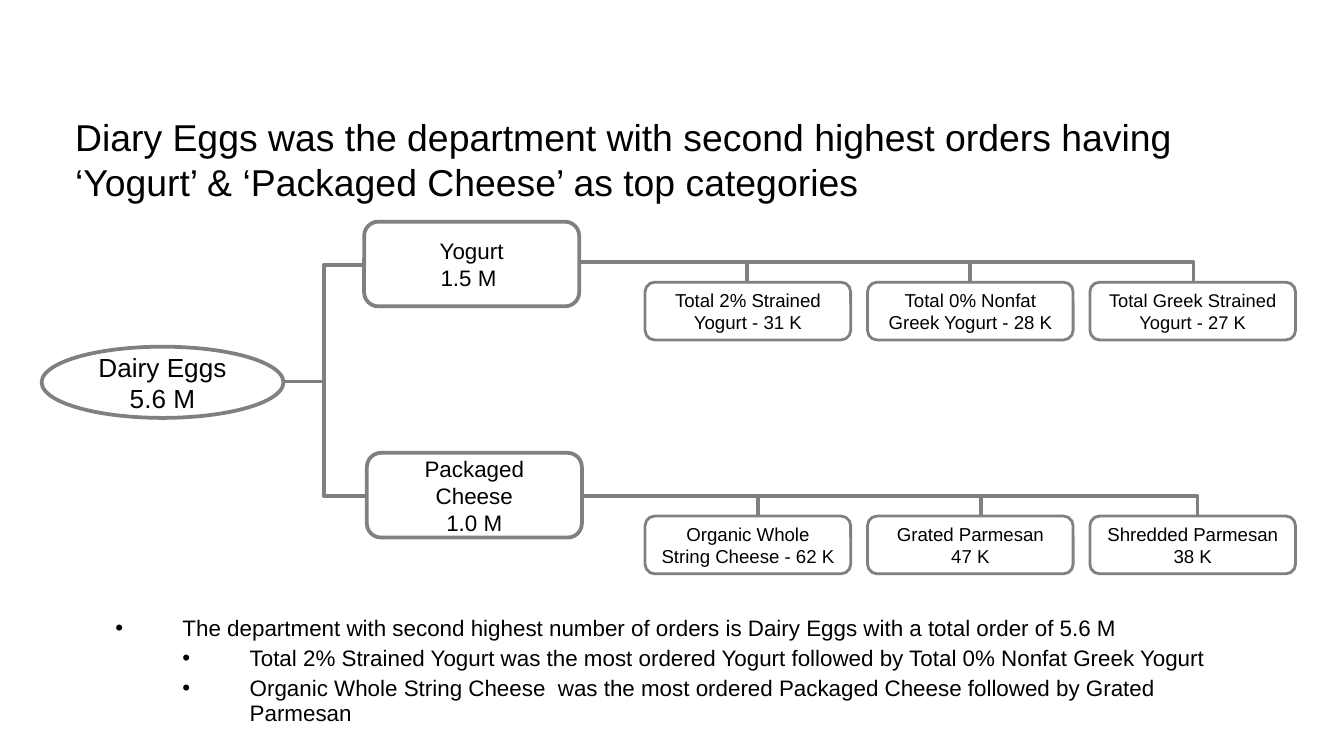
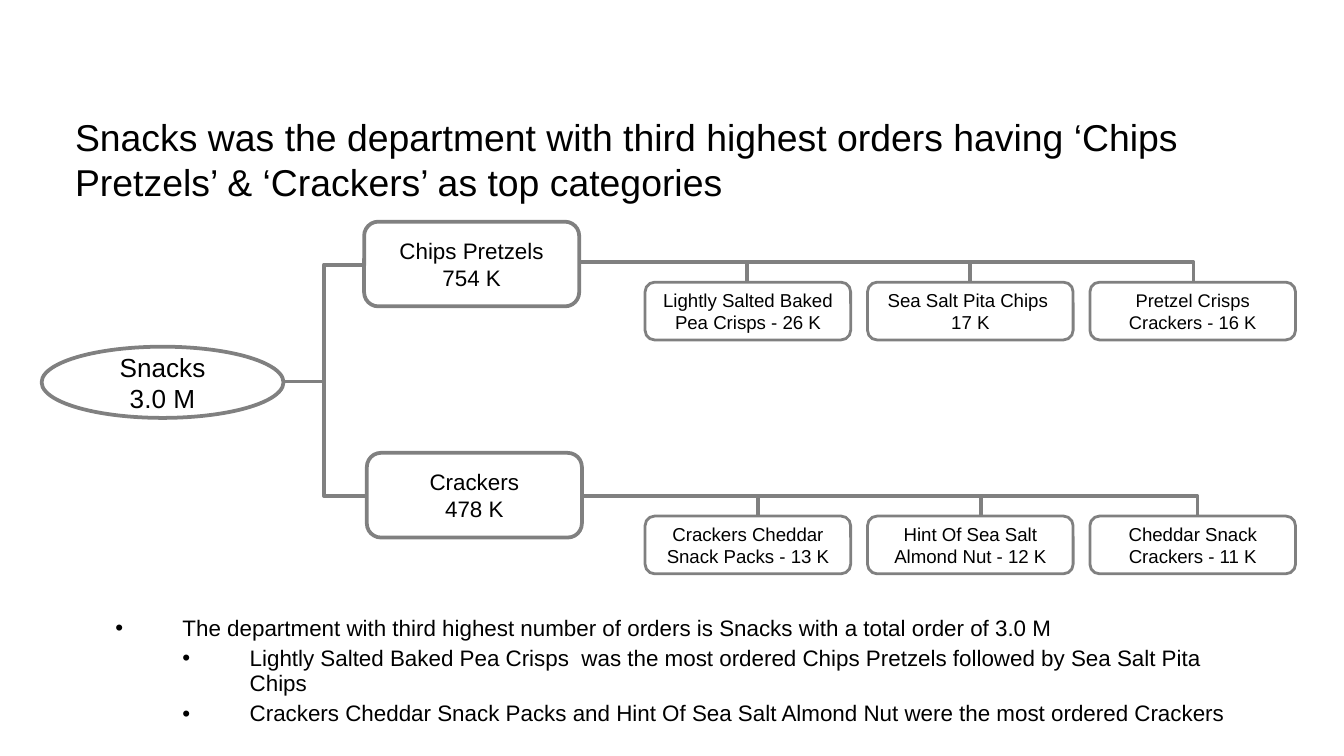
from dataclasses import dataclass

from lxml import etree
from pptx import Presentation
from pptx.dml.color import RGBColor
from pptx.enum.shapes import MSO_CONNECTOR, MSO_SHAPE
from pptx.enum.text import MSO_ANCHOR, PP_ALIGN
from pptx.oxml.ns import qn
from pptx.util import Inches, Pt

ROUNDED = MSO_SHAPE.ROUNDED_RECTANGLE
ELLIPSE = MSO_SHAPE.OVAL
STRAIGHT = MSO_CONNECTOR.STRAIGHT
ELBOW = MSO_CONNECTOR.ELBOW
MIDDLE = MSO_ANCHOR.MIDDLE
TOP = MSO_ANCHOR.TOP
CENTER = PP_ALIGN.CENTER
LEFT = PP_ALIGN.LEFT

COLUMNS, ROWS = 100, 56.25


@dataclass(frozen=True)
class Theme:
    font: str = "Arial"
    ink: RGBColor = RGBColor(0, 0, 0)
    paper: RGBColor = RGBColor(255, 255, 255)
    rule: RGBColor = RGBColor(128, 128, 128)
    title: float = 20
    department: float = 14
    category: float = 12
    product: float = 10
    tight_product: float = 9.8
    finding: float = 12
    heavy: float = 2
    light: float = 1.5


@dataclass(frozen=True)
class Branch:
    category_left: float
    category_top: float
    product_top: float
    drops: tuple
    product_sizes: tuple


THEME = Theme()

CATEGORY_WIDTH, CATEGORY_HEIGHT = 16, 6.3
PRODUCT_LEFT, PRODUCT_PITCH = 48, 16.55
PRODUCT_WIDTH, PRODUCT_HEIGHT = 15.3, 4.3
PRODUCT_INSET = 0.9
DROP = 1.5
DEPARTMENT = (3.1, 25.8, 18, 5.3)
DEPARTMENT_EXIT = (21.1, 28.4)
TRUNK = (24.1, 28.2)
UPPER_ENTRY = (27.1, 19.7)

UPPER = Branch(27.1, 16.5, 21, (55.6, 72.2, 88.8),
               (THEME.product, THEME.product, THEME.tight_product))
LOWER = Branch(27.3, 33.7, 38.4, (56.4, 73, 89.1), (THEME.product,) * 3)

DEPARTMENTS = [
    {
        "title": "Diary Eggs was the department with second highest orders having "
                 "‘Yogurt’ & ‘Packaged Cheese’ as top categories",
        "department": ["Dairy Eggs", "5.6 M"],
        "upper": (["Yogurt", "1.5 M "],
                  [["Total 2% Strained Yogurt - 31 K"],
                   ["Total 0% Nonfat Greek Yogurt - 28 K"],
                   ["Total Greek Strained Yogurt - 27 K"]]),
        "lower": (["Packaged Cheese", "1.0 M"],
                  [["Organic Whole String Cheese - 62 K"],
                   ["Grated Parmesan", "47 K"],
                   ["Shredded Parmesan", "38 K"]]),
        "findings": [
            "The department with second highest number of orders is Dairy Eggs "
            "with a total order of 5.6 M",
            "Total 2% Strained Yogurt was the most ordered Yogurt followed by "
            "Total 0% Nonfat Greek Yogurt",
            "Organic Whole String Cheese  was the most ordered Packaged Cheese "
            "followed by Grated Parmesan",
        ],
    },
    {
        "title": "Snacks was the department with third highest orders having "
                 "‘Chips Pretzels’ & ‘Crackers’ as top categories",
        "department": ["Snacks", "3.0 M"],
        "upper": (["Chips Pretzels", "754 K"],
                  [["Lightly Salted Baked Pea Crisps - 26 K"],
                   ["Sea Salt Pita Chips ", "17 K"],
                   ["Pretzel Crisps Crackers - 16 K"]]),
        "lower": (["Crackers", "478 K"],
                  [["Crackers Cheddar Snack Packs - 13 K"],
                   ["Hint Of Sea Salt Almond Nut - 12 K"],
                   ["Cheddar Snack Crackers - 11 K"]]),
        "findings": [
            "The department with third highest number of orders is Snacks "
            "with a total order of 3.0 M",
            "Lightly Salted Baked Pea Crisps  was the most ordered Chips Pretzels "
            "followed by Sea Salt Pita Chips",
            "Crackers Cheddar Snack Packs and Hint Of Sea Salt Almond Nut were "
            "the most ordered Crackers",
        ],
    },
]


def apply(target, values):
    for name, value in values.items():
        setattr(target, name, value)


class Deck:
    def __init__(self, theme):
        self.theme = theme
        self.presentation = Presentation()
        apply(self.presentation, {"slide_width": Inches(10),
                                  "slide_height": Inches(5.625)})
        self.slide = None

    def new_slide(self):
        blank = self.presentation.slide_layouts[6]
        self.slide = self.presentation.slides.add_slide(blank)

    def across(self, columns):
        return round(self.presentation.slide_width * columns / COLUMNS)

    def down(self, rows):
        return round(self.presentation.slide_height * rows / ROWS)

    def place(self, left, top, width, height):
        return (self.across(left), self.down(top),
                self.across(width), self.down(height))

    def fill_text(self, frame, lines, size, align, anchor):
        apply(frame, {"word_wrap": True, "vertical_anchor": anchor})
        for index, line in enumerate(lines):
            paragraph = frame.add_paragraph() if index else frame.paragraphs[0]
            paragraph.alignment = align
            run = paragraph.add_run()
            run.text = line
            apply(run.font, {"name": self.theme.font, "size": Pt(size)})
            run.font.color.rgb = self.theme.ink

    def text(self, area, lines, size, anchor=TOP):
        frame = self.slide.shapes.add_textbox(*self.place(*area)).text_frame
        self.fill_text(frame, lines, size, LEFT, anchor)
        return frame

    def node(self, kind, area, lines, size, weight, inset=1):
        node = self.slide.shapes.add_shape(kind, *self.place(*area))
        node.shadow.inherit = False
        node.fill.solid()
        node.fill.fore_color.rgb = self.theme.paper
        node.line.color.rgb = self.theme.rule
        node.line.width = Pt(weight)
        margin = self.across(inset)
        apply(node.text_frame, {"margin_left": margin, "margin_right": margin})
        self.fill_text(node.text_frame, lines, size, CENTER, MIDDLE)

    def link(self, start, end, kind=STRAIGHT, preset=None):
        link = self.slide.shapes.add_connector(
            kind, self.across(start[0]), self.down(start[1]),
            self.across(end[0]), self.down(end[1]))
        link.line.color.rgb = self.theme.rule
        link.line.width = Pt(self.theme.heavy)
        properties = link._element.spPr
        if preset:
            properties.find(qn("a:prstGeom")).set("prst", preset)
        etree.SubElement(properties, qn("a:effectLst"))

    def corner(self, start, end):
        self.link(start, end, ELBOW, "bentConnector2")

    def findings(self, area, lines):
        frame = self.text(area, lines, self.theme.finding, MIDDLE)
        for index, paragraph in enumerate(frame.paragraphs):
            level = min(index, 1)
            apply(paragraph, {"level": level, "line_spacing": 0.95,
                              "space_before": Pt(0.2 * self.theme.finding)})
            properties = paragraph._p.get_or_add_pPr()
            properties.set("marL", str(self.across(5 * (level + 1))))
            properties.set("indent", str(-self.across(5)))
            etree.SubElement(properties, qn("a:buFont")).set("typeface", self.theme.font)
            etree.SubElement(properties, qn("a:buChar")).set("char", "•")

    def branch(self, layout, category, products):
        theme = self.theme
        self.node(ROUNDED, (layout.category_left, layout.category_top,
                            CATEGORY_WIDTH, CATEGORY_HEIGHT),
                  category, theme.category, theme.heavy)
        for index, (product, size) in enumerate(zip(products, layout.product_sizes)):
            left = PRODUCT_LEFT + index * PRODUCT_PITCH
            self.node(ROUNDED, (left, layout.product_top, PRODUCT_WIDTH, PRODUCT_HEIGHT),
                      product, size, theme.light, PRODUCT_INSET)
        rail = layout.product_top - DROP
        *inner_drops, last_drop = layout.drops
        self.corner((layout.category_left + CATEGORY_WIDTH, rail),
                    (last_drop, layout.product_top))
        for drop in inner_drops:
            self.link((drop, rail), (drop, layout.product_top))

    def department(self, content):
        self.new_slide()
        self.text((4.6, 8, 91.8, 10.5), [content["title"]], self.theme.title)
        self.node(ELLIPSE, DEPARTMENT, content["department"],
                  self.theme.department, self.theme.heavy)
        self.branch(UPPER, *content["upper"])
        self.branch(LOWER, *content["lower"])
        self.link(DEPARTMENT_EXIT, UPPER_ENTRY, ELBOW)
        self.corner((LOWER.category_left, LOWER.product_top - DROP), TRUNK)
        self.findings((7.6, 44.2, 85.7, 11.5), content["findings"])


def main():
    deck = Deck(THEME)
    for content in DEPARTMENTS:
        deck.department(content)
    deck.presentation.save("out.pptx")


if __name__ == "__main__":
    main()
